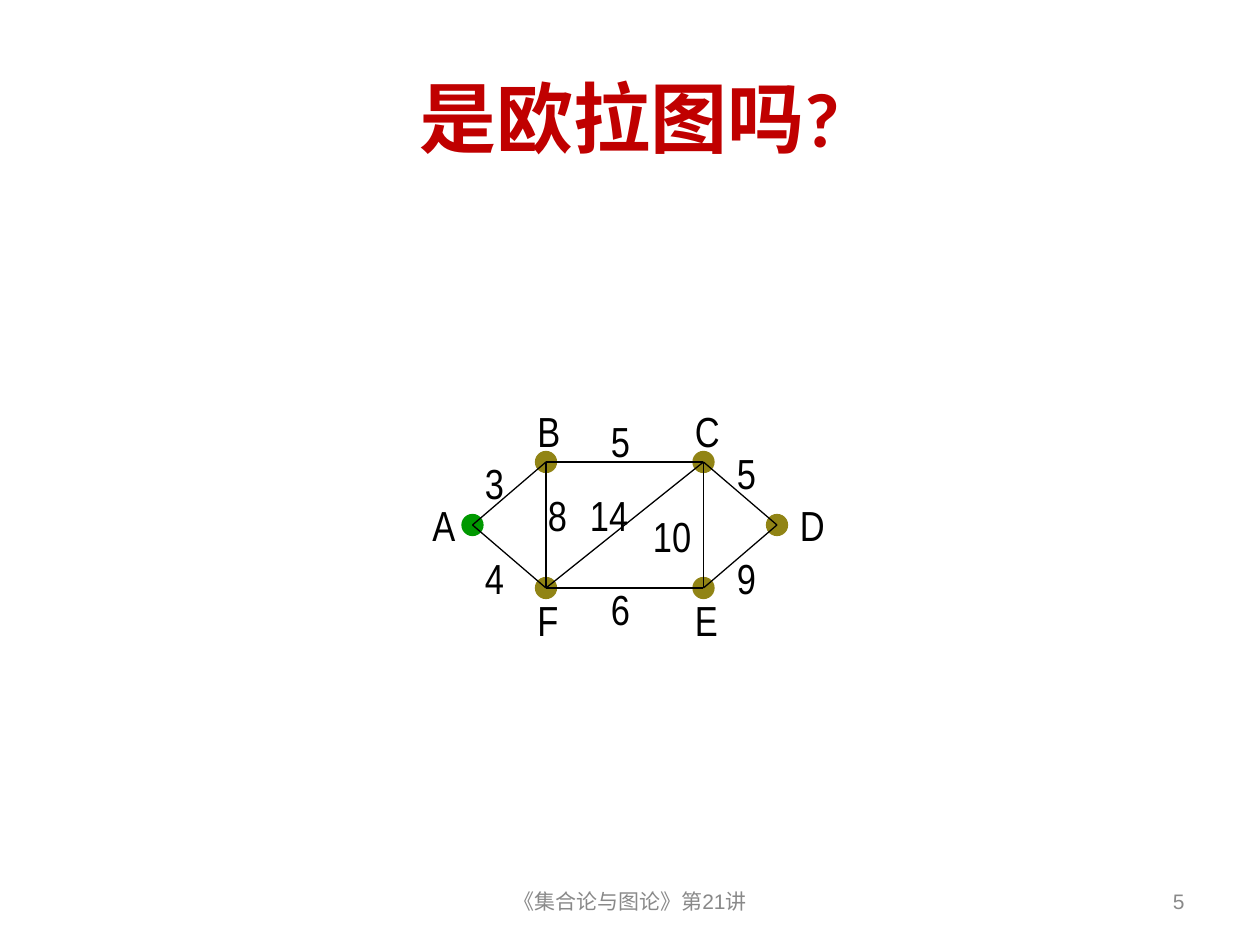
from lxml import etree
from pptx import Presentation
from pptx.dml.color import RGBColor
from pptx.enum.shapes import MSO_CONNECTOR, MSO_SHAPE
from pptx.enum.text import MSO_ANCHOR, PP_ALIGN
from pptx.oxml.ns import qn
from pptx.util import Inches, Pt

STRAIGHT, ELLIPSE = MSO_CONNECTOR.STRAIGHT, MSO_SHAPE.OVAL
TOP, MIDDLE = MSO_ANCHOR.TOP, MSO_ANCHOR.MIDDLE
LEFT, CENTER, RIGHT = PP_ALIGN.LEFT, PP_ALIGN.CENTER, PP_ALIGN.RIGHT

COLORS = {"title": "C00000", "footer": "898989", "ink": "000000",
          "vertex": "918415", "start": "009900"}
COLUMNS, ROWS, CELLS_PER_INCH = 120, 90, 12
NODE_SIZE = 2
LINE_WIDTH = 0.75

FORMATS = {
    "title": {"font": {"name": "Calibri", "size": Pt(44), "bold": True},
              "paragraph": {"alignment": CENTER}, "anchor": MIDDLE},
    "footer": {"font": {"name": "Arial", "size": Pt(12)},
               "paragraph": {"alignment": CENTER}, "anchor": MIDDLE},
    "number": {"font": {"name": "Arial", "size": Pt(12)},
               "paragraph": {"alignment": RIGHT}, "anchor": MIDDLE},
    "label": {"font": {"name": "Arial Narrow", "size": Pt(24)},
              "paragraph": {"alignment": LEFT, "space_before": Pt(15)},
              "anchor": TOP},
}

# Vertex: centre of the node, then top left of its label
VERTICES = {
    "A": ((45, 50), (40, 47)),
    "B": ((52, 44), (50, 38)),
    "C": ((67, 44), (65, 38)),
    "D": ((74, 50), (75, 47)),
    "E": ((67, 56), (65, 56)),
    "F": ((52, 56), (50, 56)),
}
# Edge: its two vertices, weight, top left of the weight
EDGES = [
    ("BC", "5", (57, 39)), ("FE", "6", (57, 55)), ("AB", "3", (45, 43)),
    ("AF", "4", (45, 52)), ("CD", "5", (69, 42)), ("ED", "9", (69, 52)),
    ("BF", "8", (51, 46)), ("FC", "14", (55, 46)), ("CE", "10", (61, 48)),
]


def cells(*values):
    return [Inches(value / CELLS_PER_INCH) for value in values]


def color(name):
    return RGBColor.from_string(COLORS[name])


def apply(target, values):
    for name, value in values.items():
        setattr(target, name, value)


class GraphSlide:
    def __init__(self, presentation):
        self.slide = presentation.slides.add_slide(presentation.slide_layouts[6])
        self.shapes = self.slide.shapes

    def start_group(self):
        """Make later elements members of a new group."""
        self.shapes = self.slide.shapes.add_group_shape().shapes

    def text(self, text, box, style, color_name):
        frame = self.shapes.add_textbox(*cells(*box)).text_frame
        apply(frame, {"word_wrap": True, "vertical_anchor": FORMATS[style]["anchor"]})
        paragraph = frame.paragraphs[0]
        apply(paragraph, FORMATS[style]["paragraph"])
        run = paragraph.add_run()
        run.text = text
        apply(run.font, FORMATS[style]["font"])
        run.font.color.rgb = color(color_name)

    def label(self, text, position):
        width = 3 + 2 * len(text)
        self.text(text, (*position, width, 6), "label", "ink")

    def node(self, center, color_name):
        corner = [value - NODE_SIZE / 2 for value in center]
        shape = self.shapes.add_shape(ELLIPSE, *cells(*corner, NODE_SIZE, NODE_SIZE))
        shape.shadow.inherit = False
        shape.fill.solid()
        shape.fill.fore_color.rgb = color(color_name)
        shape.line.color.rgb = color(color_name)
        shape.line.width = Pt(LINE_WIDTH)

    def edge(self, start, end):
        connector = self.shapes.add_connector(STRAIGHT, *cells(*start, *end))
        connector.line.color.rgb = color("ink")
        connector.line.width = Pt(LINE_WIDTH)
        etree.SubElement(connector._element.spPr, qn("a:effectLst"))


def main():
    presentation = Presentation()
    presentation.slide_width, presentation.slide_height = cells(COLUMNS, ROWS)
    slide = GraphSlide(presentation)
    slide.text("是欧拉图吗?", (6, 3.6, 108, 15), "title", "title")
    slide.text("《集合论与图论》第21讲", (41, 83.4, 38, 4.8), "footer", "footer")
    slide.text("5", (86, 83.4, 28, 4.8), "number", "footer")

    slide.start_group()
    for name, (center, _) in VERTICES.items():
        slide.node(center, "start" if name == "A" else "vertex")
    for (start, end), _, _ in EDGES:
        slide.edge(VERTICES[start][0], VERTICES[end][0])
    for name, (_, position) in VERTICES.items():
        slide.label(name, position)
    for _, weight, position in EDGES:
        slide.label(weight, position)
    presentation.save("out.pptx")


if __name__ == "__main__":
    main()
